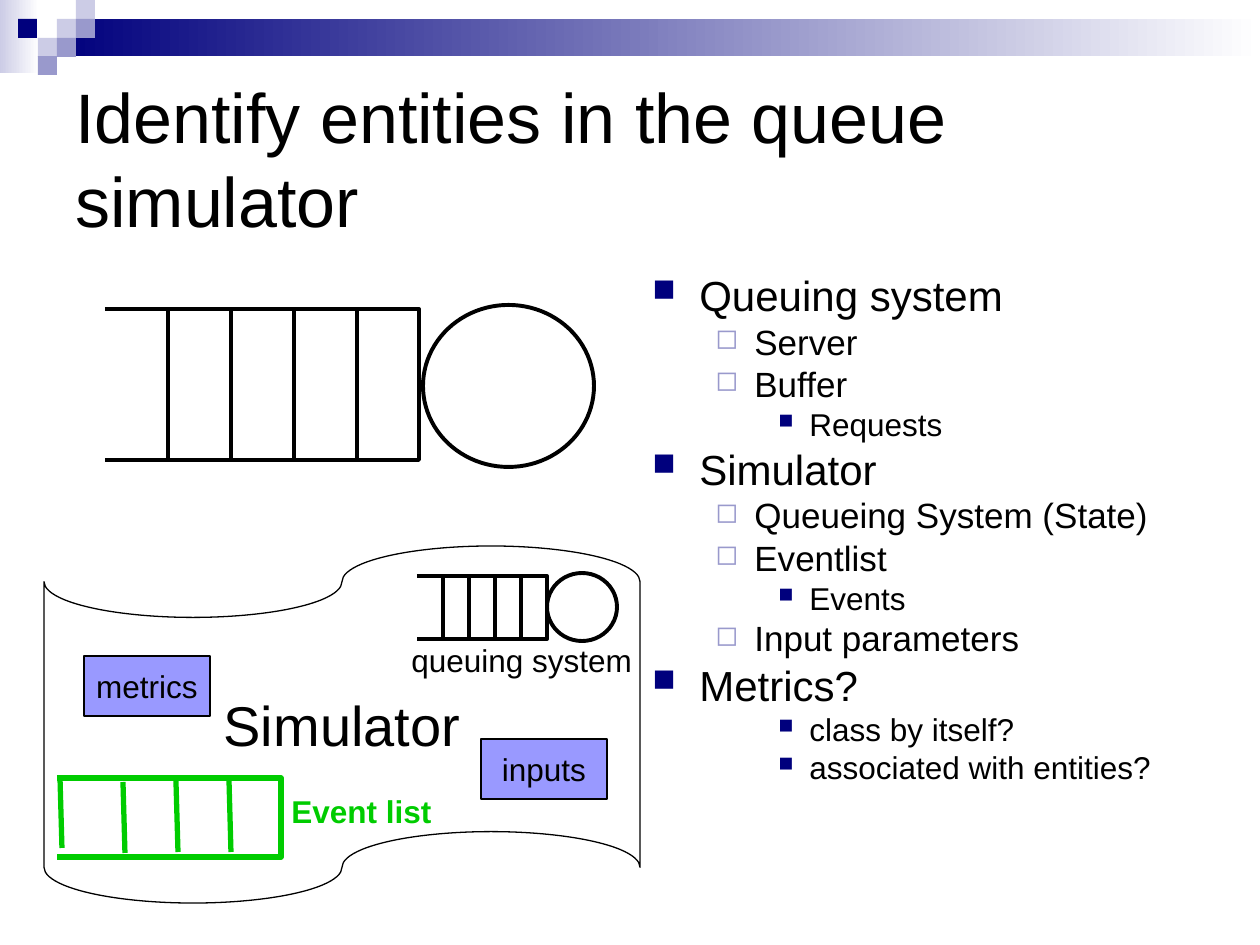
import pptx
import pptx.util
import pptx.dml.color
import pptx.enum.shapes
import pptx.enum.text
import lxml.etree

SCALE = 914400 / 126
COLORS = {
    "black": "000000",
    "white": "FFFFFF",
    "navy": "00007D",
    "lavender": "CCCCE6",
    "violet": "9999CC",
    "box": "9999FF",
    "green": "00CC00",
}
SHAPES = pptx.enum.shapes.MSO_SHAPE
ALIGN = pptx.enum.text.PP_ALIGN
ANCHOR = pptx.enum.text.MSO_ANCHOR
AUTO_SIZE = pptx.enum.text.MSO_AUTO_SIZE

deck = pptx.Presentation()
deck.slide_width = round(1260 * SCALE)
deck.slide_height = round(945 * SCALE)
page = deck.slides.add_slide(deck.slide_layouts[6])


def style_shape(shape, fill=None, line=None, weight=1):
    shape.shadow.inherit = False
    if fill:
        shape.fill.solid()
        shape.fill.fore_color.rgb = pptx.dml.color.RGBColor.from_string(COLORS[fill])
    else:
        shape.fill.background()
    if line:
        shape.line.color.rgb = pptx.dml.color.RGBColor.from_string(COLORS[line])
        shape.line.width = pptx.util.Pt(weight)
    else:
        shape.line.fill.background()


def write_text(para, text, size, color="black", bold=False):
    span = para.add_run()
    span.text = text
    font_format = {"name": "Arial", "size": pptx.util.Pt(size), "bold": bold}
    for name, value in font_format.items():
        setattr(span.font, name, value)
    span.font.color.rgb = pptx.dml.color.RGBColor.from_string(COLORS[color])


bands = [
    ((0, 0, 39, 73), "lavender"),
    ((57, 19, 1203, 37), "navy"),
]
for area, color in bands:
    band = page.shapes.add_shape(SHAPES.RECTANGLE, *[round(n * SCALE) for n in area])
    style_shape(band)
    band.fill.gradient()
    band.fill.gradient_angle = 0
    for stop, name in zip(band.fill.gradient_stops, (color, "white")):
        stop.color.rgb = pptx.dml.color.RGBColor.from_string(COLORS[name])

tiles = [
    (57, 19, "lavender"),
    (76, 0, "lavender"),
    (76, 19, "violet"),
    (38, 38, "lavender"),
    (18, 19, "navy"),
    (57, 38, "violet"),
    (38, 56, "violet"),
]
for left, top, color in tiles:
    area = (left, top, 19, 19)
    tile = page.shapes.add_shape(SHAPES.RECTANGLE, *[round(n * SCALE) for n in area])
    style_shape(tile, fill=color)

blocks = [
    (SHAPES.FLOWCHART_PUNCHED_TAPE, (44, 546, 596, 357), None, 0.75, "Simulator", 32),
    (SHAPES.OVAL, (423, 305, 171, 162), None, 2.25, "", 18),
    (SHAPES.OVAL, (547, 573, 70, 68), None, 2.25, "", 18),
    (SHAPES.RECTANGLE, (84, 656, 126, 60), "box", 0.75, "metrics", 18),
    (SHAPES.RECTANGLE, (481, 739, 126, 60), "box", 0.75, "inputs", 18),
]
for kind, area, fill, weight, text, size in blocks:
    block = page.shapes.add_shape(kind, *[round(n * SCALE) for n in area])
    style_shape(block, fill, "black", weight)
    if text:
        block.text_frame.word_wrap = False
        block.text_frame.vertical_anchor = ANCHOR.MIDDLE
        para = block.text_frame.paragraphs[0]
        para.alignment = ALIGN.CENTER
        write_text(para, text, size)

queues = [
    (105, 309, 314, 151, "black", 2.25,
     [(105 + 63 * n, 309, 105 + 63 * n, 460) for n in range(1, 5)]),
    (417, 576, 130, 63, "black", 2.25,
     [(417 + 26 * n, 576, 417 + 26 * n, 639) for n in range(1, 5)]),
    (57, 778, 224, 79, "green", 3,
     [(60, 777, 62, 848), (123, 782, 125, 853),
      (176, 781, 178, 852), (229, 780, 231, 852)]),
]
for left, top, width, height, color, weight, dividers in queues:
    builder = page.shapes.build_freeform(left, top, scale=SCALE)
    right, bottom = left + width, top + height
    builder.add_line_segments([(right, top), (right, bottom), (left, bottom)], close=False)
    style_shape(builder.convert_to_shape(), line=color, weight=weight)
    for ends in dividers:
        divider = page.shapes.add_connector(
            pptx.enum.shapes.MSO_CONNECTOR.STRAIGHT, *[round(n * SCALE) for n in ends])
        divider.line.color.rgb = pptx.dml.color.RGBColor.from_string(COLORS[color])
        divider.line.width = pptx.util.Pt(weight)
        lxml.etree.SubElement(divider._element.spPr, pptx.oxml.ns.qn("a:effectLst"))

labels = [
    ("Identify entities in the queue simulator", (63, 63, 1134, 189), 40, "black", False,
     {"word_wrap": True, "vertical_anchor": ANCHOR.MIDDLE}),
    ("queuing system", (399, 635, 246, 50), 18, "black", False,
     {"word_wrap": False, "auto_size": AUTO_SIZE.SHAPE_TO_FIT_TEXT}),
    ("Event list", (279, 786, 165, 50), 18, "green", True,
     {"word_wrap": False, "auto_size": AUTO_SIZE.SHAPE_TO_FIT_TEXT}),
]
for text, area, size, color, bold, frame_format in labels:
    box = page.shapes.add_textbox(*[round(n * SCALE) for n in area])
    for name, value in frame_format.items():
        setattr(box.text_frame, name, value)
    write_text(box.text_frame.paragraphs[0], text, size, color, bold)

levels = [
    {"size": 24, "before": 6, "margin": 47, "hang": 47, "mark": "■", "color": "navy", "percent": 75},
    {"size": 20, "before": 5, "margin": 102, "hang": 39, "mark": "◻", "color": "violet", "percent": 80},
    {"size": 18, "before": 4.5, "margin": 157, "hang": 31, "mark": "■", "color": "navy", "percent": 65},
]
outline = [
    (0, "Queuing system"),
    (1, "Server"),
    (1, "Buffer"),
    (2, "Requests"),
    (0, "Simulator"),
    (1, "Queueing System (State)"),
    (1, "Eventlist"),
    (2, "Events"),
    (1, "Input parameters"),
    (0, "Metrics?"),
    (2, "class by itself?"),
    (2, "associated with entities?"),
]
body = page.shapes.add_textbox(*[round(n * SCALE) for n in (640, 273, 557, 536)])
body.text_frame.word_wrap = True
for index, (level, text) in enumerate(outline):
    look = levels[level]
    para = body.text_frame.add_paragraph() if index else body.text_frame.paragraphs[0]
    para_format = {
        "level": level,
        "line_spacing": 0.8,
        "space_before": pptx.util.Pt(look["before"] if index else 0),
    }
    for name, value in para_format.items():
        setattr(para, name, value)
    properties = para._p.get_or_add_pPr()
    properties.set("marL", str(round(look["margin"] * SCALE)))
    properties.set("indent", str(round(-look["hang"] * SCALE)))
    tint = lxml.etree.SubElement(properties, pptx.oxml.ns.qn("a:buClr"))
    lxml.etree.SubElement(tint, pptx.oxml.ns.qn("a:srgbClr"), val=COLORS[look["color"]])
    lxml.etree.SubElement(properties, pptx.oxml.ns.qn("a:buSzPct"), val=str(look["percent"] * 1000))
    lxml.etree.SubElement(properties, pptx.oxml.ns.qn("a:buChar"), char=look["mark"])
    write_text(para, text, look["size"])

deck.save("out.pptx")
